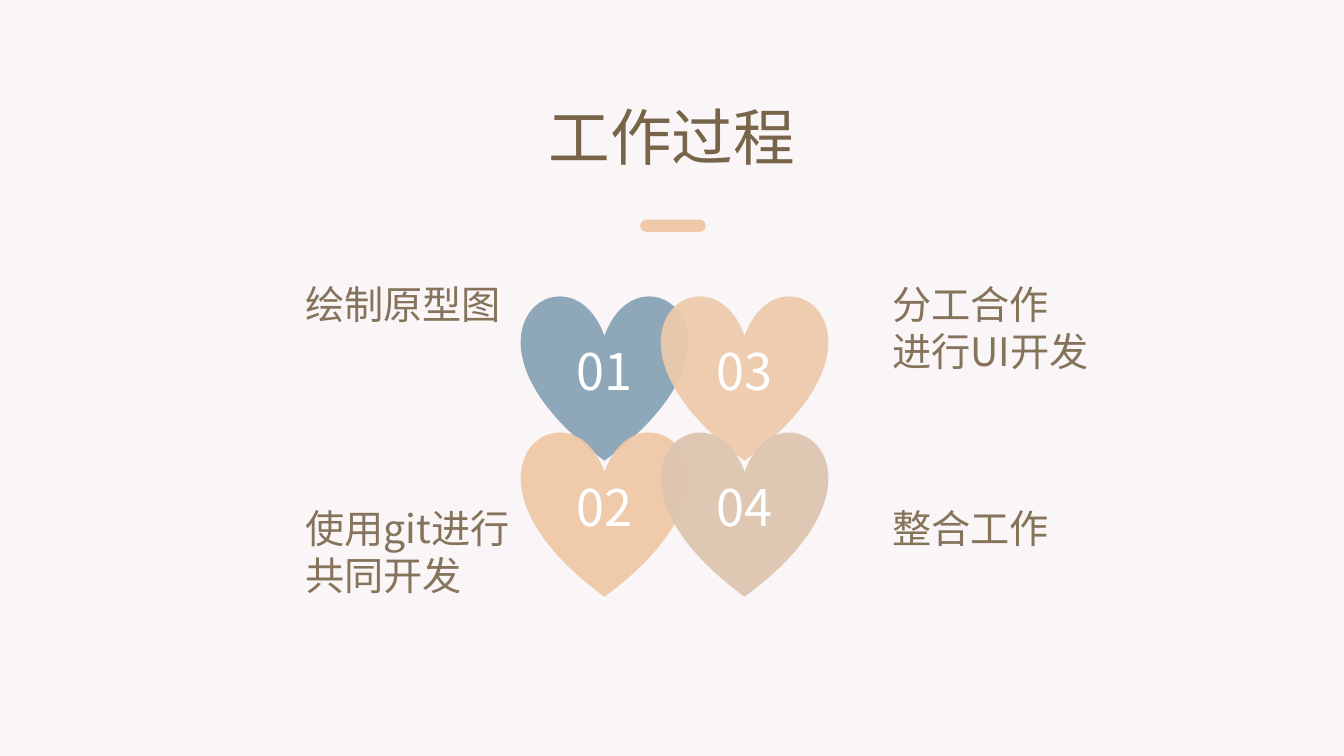
from lxml import etree
from pptx import Presentation
from pptx.dml.color import RGBColor
from pptx.enum.shapes import MSO_SHAPE
from pptx.enum.text import MSO_ANCHOR, MSO_AUTO_SIZE, PP_ALIGN
from pptx.oxml.ns import qn
from pptx.util import Inches, Pt

HEART, PILL = MSO_SHAPE.HEART, MSO_SHAPE.ROUNDED_RECTANGLE
TOP, MIDDLE = MSO_ANCHOR.TOP, MSO_ANCHOR.MIDDLE
LEFT, CENTER = PP_ALIGN.LEFT, PP_ALIGN.CENTER
NO_AUTOFIT = MSO_AUTO_SIZE.NONE

FONT = "Noto Sans CJK SC"
COLORS = {
    "background": "FAF5F6",
    "title": "786449",
    "label": "85735B",
    "number": "FFFFFF",
    "blue": "8AA4B6",
    "peach": "EDCAAD",
    "apricot": "EFC8A7",
    "sand": "DDC5B0",
}
HEART_SIZE = 1.65
COLUMNS = (5.17, 6.56)
HEART_ROWS = (2.92, 4.27)
LABEL_LEFTS = (2.93, 8.75)
LABEL_ROWS = (2.73, 4.95)
# number, column, row, heart colour, label lines, label width
STEPS = [
    ("01", 0, 0, "blue", ["绘制原型图"], 2.17),
    ("03", 1, 0, "peach", ["分工合作", "进行UI开发"], 2.18),
    ("02", 0, 1, "apricot", ["使用git进行", "共同开发"], 2.27),
    ("04", 1, 1, "sand", ["整合工作"], 1.77),
]


def rgb(name):
    return RGBColor.from_string(COLORS[name])


def set_text(sp, lines, size, color, align=LEFT, anchor=TOP):
    tf = sp.text_frame
    tf.word_wrap = True
    tf.auto_size = NO_AUTOFIT
    tf.vertical_anchor = anchor
    for i, line in enumerate(lines):
        p = tf.paragraphs[0] if i == 0 else tf.add_paragraph()
        p.alignment = align
        r = p.add_run()
        r.text = line
        r.font.size = Pt(size)
        r.font.name = FONT
        r.font.color.rgb = rgb(color)
        ea = etree.SubElement(r._r.get_or_add_rPr(), qn("a:ea"))
        ea.set("typeface", FONT)


def place(sp, left, top, width, height):
    sp.left, sp.top = Inches(left), Inches(top)
    sp.width, sp.height = Inches(width), Inches(height)


def add_filled(s, kind, left, top, width, height, color, opacity=100):
    sp = s.shapes.add_shape(kind, Inches(left), Inches(top),
                            Inches(width), Inches(height))
    sp.shadow.inherit = False
    sp.line.fill.background()
    sp.fill.solid()
    sp.fill.fore_color.rgb = rgb(color)
    if opacity < 100:
        clr = sp.fill._xPr.find(".//" + qn("a:srgbClr"))
        etree.SubElement(clr, qn("a:alpha")).set("val", str(opacity * 1000))
    return sp


def add_title(s, text):
    sp = s.shapes.title
    place(sp, 5.34, 0.93, 2.67, 0.84)
    set_text(sp, [text], 44, "title")
    pill = add_filled(s, PILL, 6.35, 2.18, 0.65, 0.12, "apricot")
    pill.adjustments[0] = 0.5


def add_step(s, number, column, row, color, lines, width):
    """Draw a numbered heart and the label beside it."""
    heart = add_filled(s, HEART, COLUMNS[column], HEART_ROWS[row],
                       HEART_SIZE, HEART_SIZE, color, opacity=95)
    set_text(heart, [number], 36, "number", align=CENTER, anchor=MIDDLE)
    label = s.shapes.add_textbox(
        Inches(LABEL_LEFTS[column]), Inches(LABEL_ROWS[row]),
        Inches(width), Inches(0.1 + 0.47 * len(lines)))
    set_text(label, lines, 28, "label")


def main():
    prs = Presentation()
    prs.slide_width, prs.slide_height = Inches(13.33), Inches(7.5)
    s = prs.slides.add_slide(prs.slide_layouts[5])
    s.background.fill.solid()
    s.background.fill.fore_color.rgb = rgb("background")
    add_title(s, "工作过程")
    for step in STEPS:
        add_step(s, *step)
    prs.save("out.pptx")


if __name__ == "__main__":
    main()
